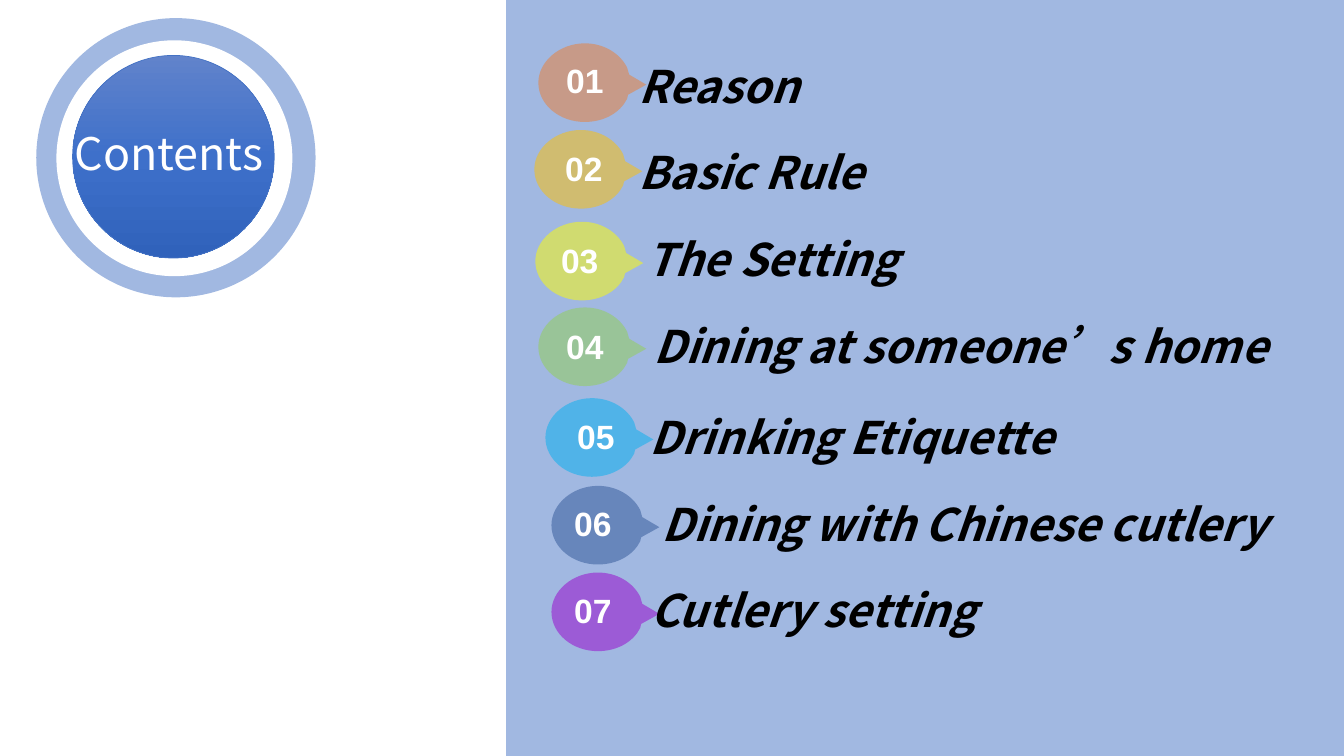
import copy
import math
from dataclasses import dataclass

from lxml import etree
from pptx import Presentation
from pptx.dml.color import RGBColor
from pptx.enum import shapes, text
from pptx.oxml import ns
from pptx.shapes.autoshape import Shape
from pptx.slide import Slide
from pptx.util import Inches, Pt

WHITE = RGBColor(0xFF, 0xFF, 0xFF)
BLACK = RGBColor(0x00, 0x00, 0x00)
BLUE = RGBColor(0x44, 0x72, 0xC4)
DISC_GRADIENT = [
    (0, RGBColor(0x61, 0x83, 0xCB)),
    (0.5, RGBColor(0x3E, 0x70, 0xCA)),
    (1, RGBColor(0x30, 0x62, 0xBB)),
]
ORANGE = RGBColor(0xED, 0x7D, 0x31)
GOLD = RGBColor(0xFF, 0xC0, 0x00)
YELLOW = RGBColor(0xFF, 0xFF, 0x00)
GREEN = RGBColor(0x92, 0xD0, 0x50)
SKY = RGBColor(0x00, 0xB0, 0xF0)
NAVY = RGBColor(0x2F, 0x55, 0x97)
PURPLE = RGBColor(0x99, 0x00, 0xCC)

HEADING_FONT = "Noto Sans CJK SC"
NUMBER_FONT = "Arial"
BUBBLE_WIDTH, BUBBLE_HEIGHT = 0.97, 0.81
BUBBLE_ROTATION = 330.9
BUBBLE_OUTLINE = [
    ("moveTo", [(0.45, 0.03)]),
    ("cubicBezTo", [(0.64, 0.03), (0.8, 0.13), (0.87, 0.27)]),
    ("lnTo", [(0.89, 0.34)]),
    ("lnTo", [(1.06, 0.44)]),
    ("lnTo", [(0.88, 0.54)]),
    ("lnTo", [(0.87, 0.58)]),
    ("cubicBezTo", [(0.8, 0.72), (0.64, 0.81), (0.45, 0.81)]),
    ("cubicBezTo", [(0.2, 0.81), (-0.01, 0.64), (-0.01, 0.42)]),
    ("cubicBezTo", [(-0.01, 0.21), (0.2, 0.03), (0.45, 0.03)]),
    ("close", []),
]


@dataclass(frozen=True)
class Chapter:
    title: str
    color: RGBColor
    bubble_left: float
    bubble_top: float
    number_left: float
    number_top: float
    title_left: float
    title_top: float
    title_width: float


CHAPTERS = [
    Chapter("Reason", ORANGE, 5.35, 0.4, 5.51, 0.55, 6.23, 0.53, 2.04),
    Chapter("Basic Rule", GOLD, 5.31, 1.26, 5.5, 1.42, 6.23, 1.39, 5.1),
    Chapter("The Setting", YELLOW, 5.32, 2.17, 5.46, 2.33, 6.31, 2.25, 2.88),
    Chapter("Dining at someone’s home", GREEN, 5.35, 3.02, 5.51, 3.18, 6.38, 3.11, 6.69),
    Chapter("Drinking Etiquette", SKY, 5.42, 3.92, 5.62, 4.08, 6.34, 4.02, 4.68),
    Chapter("Dining with Chinese cutlery", NAVY, 5.48, 4.79, 5.59, 4.94, 6.46, 4.88, 6.66),
    Chapter("Cutlery setting", PURPLE, 5.48, 5.65, 5.59, 5.8, 6.35, 5.73, 3.64),
]


def paint(shape: Shape, color: RGBColor, opacity: int = 100) -> None:
    shape.shadow.inherit = False
    shape.line.fill.background()
    shape.fill.solid()
    shape.fill.fore_color.rgb = color
    if opacity < 100:
        tint = shape.element.spPr.find(".//" + ns.qn("a:srgbClr"))
        etree.SubElement(tint, ns.qn("a:alpha"), val=str(opacity * 1000))


def add_block(slide: Slide, kind: shapes.MSO_SHAPE, left: float, top: float,
              width: float, height: float, color: RGBColor, opacity: int = 100) -> Shape:
    block = slide.shapes.add_shape(
        kind, Inches(left), Inches(top), Inches(width), Inches(height))
    paint(block, color, opacity)
    return block


def add_label(slide: Slide, words: str, left: float, top: float, width: float,
              height: float, font_name: str, size: int, color: RGBColor,
              bold: bool = False, italic: bool = False, centered: bool = False) -> None:
    label = slide.shapes.add_textbox(
        Inches(left), Inches(top), Inches(width), Inches(height))
    frame = label.text_frame
    frame.word_wrap = not centered
    frame.auto_size = text.MSO_AUTO_SIZE.SHAPE_TO_FIT_TEXT
    paragraph = frame.paragraphs[0]
    paragraph.text = words
    if centered:
        paragraph.alignment = text.PP_ALIGN.CENTER
    font = paragraph.font
    font.name = font_name
    font.size = Pt(size)
    font.bold = bold
    font.italic = italic
    font.color.rgb = color


def unrotate(x: float, y: float) -> tuple[int, int]:
    turn = math.radians(-BUBBLE_ROTATION)
    center_x, center_y = BUBBLE_WIDTH / 2, BUBBLE_HEIGHT / 2
    dx, dy = x - center_x, y - center_y
    return (
        Inches(center_x + dx * math.cos(turn) - dy * math.sin(turn)),
        Inches(center_y + dx * math.sin(turn) + dy * math.cos(turn)),
    )


def add_bubble(slide: Slide, chapter: Chapter) -> None:
    width, height = Inches(BUBBLE_WIDTH), Inches(BUBBLE_HEIGHT)
    builder = slide.shapes.build_freeform(0, 0)
    builder.add_line_segments([(width, height)])
    bubble = builder.convert_to_shape(
        Inches(chapter.bubble_left), Inches(chapter.bubble_top))
    outline = bubble.element.spPr.find(".//" + ns.qn("a:path"))
    for segment in list(outline):
        outline.remove(segment)
    for command, points in BUBBLE_OUTLINE:
        segment = etree.SubElement(outline, ns.qn(f"a:{command}"))
        for point in points:
            x, y = unrotate(*point)
            etree.SubElement(segment, ns.qn("a:pt"), x=str(x), y=str(y))
    bubble.rotation = BUBBLE_ROTATION
    paint(bubble, chapter.color, 50)


def add_contents_badge(slide: Slide) -> None:
    oval = shapes.MSO_SHAPE.OVAL
    add_block(slide, oval, 0.36, 0.18, 2.77, 2.77, BLUE, 50)
    add_block(slide, oval, 0.56, 0.4, 2.34, 2.34, WHITE)
    disc = add_block(slide, oval, 0.72, 0.55, 2, 2.01, BLUE)
    disc.fill.gradient()
    disc.fill.gradient_angle = 270
    stop_list = disc.element.spPr.find(".//" + ns.qn("a:gsLst"))
    stop_list.append(copy.deepcopy(stop_list[-1]))
    for stop, (position, color) in zip(disc.fill.gradient_stops, DISC_GRADIENT):
        stop.position = position
        stop.color.rgb = color
    disc.line.color.rgb = BLUE
    disc.line.width = Pt(0.5)
    add_label(slide, "Contents", 0.64, 1.2, 2.2, 0.64, HEADING_FONT, 32, WHITE)


def add_chapter(slide: Slide, number: int, chapter: Chapter) -> None:
    add_bubble(slide, chapter)
    add_label(slide, f"{number:02d}", chapter.number_left, chapter.number_top,
              0.58, 0.5, NUMBER_FONT, 24, WHITE, bold=True, centered=True)
    add_label(slide, chapter.title, chapter.title_left, chapter.title_top,
              chapter.title_width, 0.64, HEADING_FONT, 32, BLACK,
              bold=True, italic=True)


def main() -> None:
    deck = Presentation()
    deck.slide_width = Inches(13.33)
    deck.slide_height = Inches(7.5)
    slide = deck.slides.add_slide(deck.slide_layouts[6])
    add_block(slide, shapes.MSO_SHAPE.RECTANGLE, 5.02, 0, 8.31, 7.5, BLUE, 50)
    add_contents_badge(slide)
    for number, chapter in enumerate(CHAPTERS, start=1):
        add_chapter(slide, number, chapter)
    deck.save("out.pptx")


if __name__ == "__main__":
    main()
